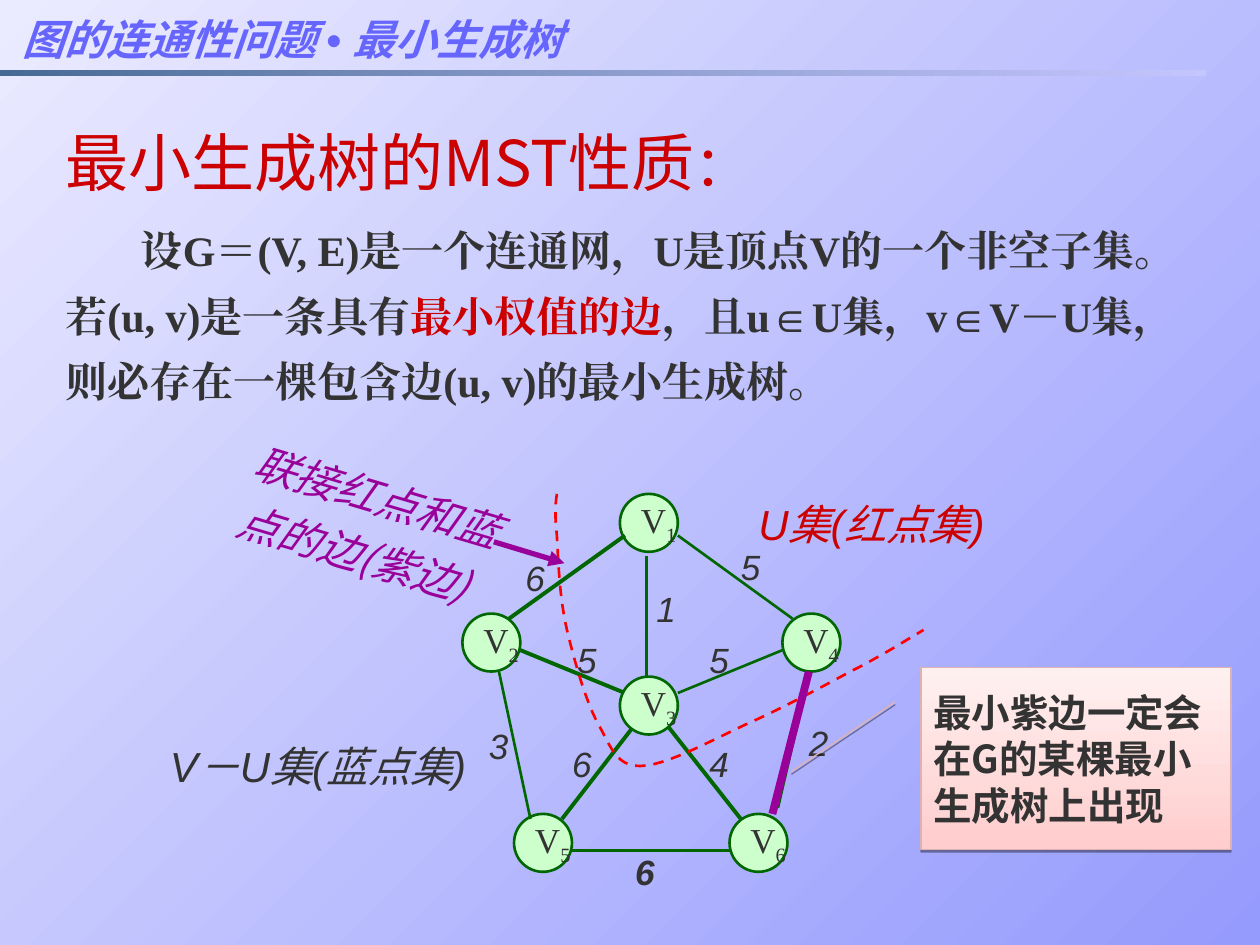
"""Build the slide on the MST property of minimum spanning trees."""
import dataclasses

import lxml.etree
import pptx
import pptx.dml.color
import pptx.enum.dml
import pptx.enum.shapes
import pptx.enum.text
import pptx.oxml.ns
import pptx.util

Inches = pptx.util.Inches
Pt = pptx.util.Pt
MSO_SHAPE = pptx.enum.shapes.MSO_SHAPE
qn = pptx.oxml.ns.qn


@dataclasses.dataclass(frozen=True)
class Theme:
    """Colours, fonts and type sizes of the slide."""
    ink: str = "333333"
    red: str = "CC0000"
    purple: str = "990099"
    heading: str = "6666FF"
    edge: str = "006600"
    node: str = "CCFFCC"
    cut: str = "FF0000"
    callout_line: str = "DDB2B2"
    background: tuple = ("EBEBFF", "959AFD")
    rule: tuple = ("003366", "CCCCFF")
    callout: tuple = ("FFCDCD", "FFF0F0")
    serif: str = "Times New Roman"
    sans: str = "Arial"
    cjk: str = "Noto Sans CJK JP"
    cjk_bold: str = "Noto Sans CJK SC"
    title_size: int = 36
    colon_size: int = 32
    text_size: int = 24
    callout_size: int = 22
    graph_size: int = 20


THEME = Theme()

NODE_SIZE = 0.46
NODES = {1: (4.92, 3.92), 2: (3.67, 4.87), 4: (6.21, 4.87),
         5: (4.08, 6.46), 6: (5.79, 6.46), 3: (4.92, 5.37)}
THIN, THICK = 1.5, 2.25
EDGES = [
    ((5.13, 4.41), (5.13, 5.41), THIN),
    ((3.96, 5.33), (4.21, 6.5), THIN),
    ((4.54, 6.75), (5.79, 6.75), THIN),
    ((6.42, 5.33), (6.17, 6.41), THICK),
    ((5.04, 5.75), (4.46, 6.5), THICK),
    ((5.29, 5.75), (5.88, 6.5), THICK),
    ((4.13, 5.16), (4.96, 5.5), THICK),
    ((6.21, 5.16), (5.38, 5.5), THIN),
    ((4.96, 4.25), (4.04, 4.91), THICK),
    ((5.38, 4.25), (6.29, 4.91), THIN),
]
WEIGHTS = [
    ("5", 5.88, 4.26), ("6", 4.17, 4.35), ("1", 5.21, 4.6), ("3", 3.88, 5.68),
    ("2", 6.42, 5.66), ("6", 5.04, 6.68), ("6", 4.54, 5.83), ("5", 4.58, 5),
    ("5", 5.63, 5), ("4", 5.63, 5.83),
]
BOTTOM_WEIGHT = 5
CUT_START = (4.42, 3.92)
CUT_CURVES = [
    ((4.41, 3.99), (4.4, 4.07), (4.42, 4.25)),
    ((4.43, 4.43), (4.44, 4.75), (4.5, 5)),
    ((4.56, 5.25), (4.65, 5.57), (4.75, 5.75)),
    ((4.85, 5.93), (4.89, 6.08), (5.08, 6.08)),
    ((5.28, 6.08), (5.64, 5.88), (5.92, 5.75)),
    ((6.19, 5.63), (6.51, 5.46), (6.75, 5.33)),
    ((6.99, 5.21), (7.16, 5.1), (7.33, 5)),
]


def rgb(value):
    """Return a colour from its hex string."""
    return pptx.dml.color.RGBColor.from_string(value)


def write(paragraph, *runs, size, color=THEME.ink, font=THEME.sans, bold=False,
          italic=False, baseline=0, spacing=1.0, before=0, left=0, first=0):
    """Write runs, each a string or a (string, overrides) pair, in one format."""
    paragraph.alignment = pptx.enum.text.PP_ALIGN.LEFT
    paragraph.line_spacing = spacing
    paragraph.space_before = Pt(before)
    properties = paragraph._p.get_or_add_pPr()
    properties.set("marL", str(Inches(left)))
    properties.set("indent", str(Inches(first)))
    base = dict(size=size, color=color, font=font, bold=bold, italic=italic,
                baseline=baseline)
    for part in runs:
        words, changes = (part, {}) if isinstance(part, str) else part
        look = {**base, **changes}
        run = paragraph.add_run()
        run.text = words
        run.font.size = Pt(look["size"])
        run.font.bold, run.font.italic = look["bold"], look["italic"]
        run.font.color.rgb = rgb(look["color"])
        run.font.name = look["font"]
        settings = run._r.get_or_add_rPr()
        lxml.etree.SubElement(settings, qn("a:ea")).set("typeface", look["font"])
        if look["baseline"]:
            settings.set("baseline", str(look["baseline"] * 1000))


def add_text(slide, at, inset=(0.1, 0.05)):
    """Add a wrapping text box and return its frame and shape."""
    box = slide.shapes.add_textbox(*map(Inches, at))
    frame = box.text_frame
    frame.word_wrap = True
    frame.margin_left = frame.margin_right = Inches(inset[0])
    frame.margin_top = frame.margin_bottom = Inches(inset[1])
    return frame, box


def add_label(slide, words, at, inset=(0.1, 0.05), hang=0.19, rotation=0, **look):
    """Add an italic label of the graph with a hanging indent."""
    frame, box = add_text(slide, at, inset)
    box.rotation = rotation
    write(frame.paragraphs[0], words, italic=True, spacing=1.2,
          left=hang, first=-hang, **look)


def add_line(slide, start, end, color, width, arrow=False):
    """Add a straight line, with an arrowhead at its end if wanted."""
    line = slide.shapes.add_connector(
        pptx.enum.shapes.MSO_CONNECTOR.STRAIGHT, *map(Inches, start + end))
    line.line.color.rgb = rgb(color)
    line.line.width = Pt(width)
    if arrow:
        outline = line.line._get_or_add_ln()
        lxml.etree.SubElement(outline, qn("a:tailEnd")).set("type", "triangle")
    lxml.etree.SubElement(line._element.spPr, qn("a:effectLst"))


def paint_gradient(fill, colors, clockwise):
    """Fill with a two-colour linear gradient."""
    fill.gradient()
    fill.gradient_angle = -clockwise % 360
    for stop, color, position in zip(fill.gradient_stops, colors, (0, 1)):
        stop.color.rgb = rgb(color)
        stop.position = position


def add_node(slide, number):
    """Add a vertex circle with its subscripted name."""
    node = slide.shapes.add_shape(
        MSO_SHAPE.OVAL, *map(Inches, NODES[number] + (NODE_SIZE, NODE_SIZE)))
    node.shadow.inherit = False
    node.fill.solid()
    node.fill.fore_color.rgb = rgb(THEME.node)
    node.line.color.rgb = rgb(THEME.edge)
    node.line.width = Pt(THIN)
    frame = node.text_frame
    frame.word_wrap = False
    frame.vertical_anchor = pptx.enum.text.MSO_ANCHOR.MIDDLE
    write(frame.paragraphs[0], "V", (str(number), {"baseline": -25}),
          size=THEME.graph_size, font=THEME.serif)


def add_cut(slide, steps=12):
    """Add the dashed curve that separates U from V－U."""
    points, start = [], CUT_START
    for first, second, end in CUT_CURVES:
        for step in range(1, steps + 1):
            t = step / steps
            points.append(tuple(
                Inches((1 - t) ** 3 * a + 3 * t * (1 - t) ** 2 * b
                       + 3 * t ** 2 * (1 - t) * c + t ** 3 * d)
                for a, b, c, d in zip(start, first, second, end)))
        start = end
    builder = slide.shapes.build_freeform(*map(Inches, CUT_START))
    builder.add_line_segments(points, close=False)
    cut = builder.convert_to_shape()
    cut.shadow.inherit = False
    cut.fill.background()
    cut.line.color.rgb = rgb(THEME.cut)
    cut.line.width = Pt(THIN)
    cut.line.dash_style = pptx.enum.dml.MSO_LINE.DASH


def add_statement(slide):
    """Add the title and the statement of the property."""
    frame, _ = add_text(slide, (0.42, 0.75, 9.25, 2.75))
    write(frame.paragraphs[0], "最小生成树的MST性质", ("：", {"size": THEME.colon_size}),
          size=THEME.title_size, color=THEME.red, font=THEME.cjk, spacing=1.3)
    write(frame.add_paragraph(),
          "设G＝(V, E)是一个连通网，U是顶点V的一个非空子集。若(u, v)是一条具有",
          ("最小权值的边", {"color": THEME.red}),
          "，且u∈U集，v∈V－U集，则必存在一棵包含边(u, v)的最小生成树。",
          size=THEME.text_size, font=THEME.serif, bold=True, spacing=1.3,
          before=6, first=0.6)


def add_header(slide):
    """Add the chapter heading and the fading rule below it."""
    rule = slide.shapes.add_shape(
        MSO_SHAPE.RECTANGLE, *map(Inches, (0, 0.56, 9.57, 0.04)))
    rule.shadow.inherit = False
    rule.line.fill.background()
    paint_gradient(rule.fill, THEME.rule, 0)
    for color, opacity in zip(rule._element.spPr.iter(qn("a:srgbClr")), (70, 60)):
        lxml.etree.SubElement(color, qn("a:alpha")).set("val", str(opacity * 1000))
    frame, _ = add_text(slide, (0.08, 0.06, 9.92, 0.5))
    write(frame.paragraphs[0], "图的连通性问题 ", ("• ", {"font": THEME.sans}),
          "最小生成树", size=THEME.text_size, color=THEME.heading,
          font=THEME.cjk_bold, bold=True, italic=True)


def add_callout(slide):
    """Add the callout that points at the lightest purple edge."""
    callout = slide.shapes.add_shape(
        MSO_SHAPE.LINE_CALLOUT_1, *map(Inches, (7.31, 5.3, 2.46, 1.44)))
    for index, value in enumerate((0.188, -0.083, 0.572, -0.418)):
        callout.adjustments[index] = value
    paint_gradient(callout.fill, THEME.callout, 270)
    callout.line.color.rgb = rgb(THEME.callout_line)
    callout.line.width = Pt(0.75)
    callout.shadow.inherit = False
    effects = callout._element.spPr.find(qn("a:effectLst"))
    shadow = lxml.etree.SubElement(effects, qn("a:outerShdw"), blurRad="0",
                                   dist=str(Pt(1.6)), dir="5400000", rotWithShape="0")
    black = lxml.etree.SubElement(shadow, qn("a:srgbClr"), val="000000")
    lxml.etree.SubElement(black, qn("a:alpha"), val="38000")
    frame = callout.text_frame
    frame.word_wrap = True
    frame.vertical_anchor = pptx.enum.text.MSO_ANCHOR.MIDDLE
    write(frame.paragraphs[0], "最小紫边一定会在G的某棵最小生成树上出现",
          size=THEME.callout_size, font=THEME.cjk_bold, bold=True)


def add_graph(slide):
    """Add the weighted graph, its cut and the names of both vertex sets."""
    *outer, center = NODES
    for number in outer:
        add_node(slide, number)
    for start, end, width in EDGES:
        add_line(slide, start, end, THEME.edge, width)
    add_node(slide, center)
    for index, (weight, left, top) in enumerate(WEIGHTS):
        add_label(slide, weight, (left, top, 0.25, 0.4), inset=(0, 0),
                  size=THEME.graph_size, bold=index == BOTTOM_WEIGHT)
    add_cut(slide)
    add_label(slide, "U集(红点集)", (5.92, 3.83, 2, 1.06),
              size=THEME.text_size, color=THEME.red)
    add_label(slide, "V－U集(蓝点集)", (1.25, 5.75, 2.67, 1.06), size=THEME.text_size)
    add_line(slide, (3.92, 4.3), (4.48, 4.47), THEME.purple, 3, arrow=True)
    add_label(slide, "联接红点和蓝点的边(紫边)", (1.77, 3.6, 2.25, 1.54), hang=0,
              rotation=16.5, size=THEME.text_size, color=THEME.purple, font=THEME.cjk)
    add_line(slide, (6.42, 5.33), (6.13, 6.46), THEME.purple, 4.5)


def main():
    """Build and save the slide."""
    deck = pptx.Presentation()
    deck.slide_width, deck.slide_height = Inches(10), Inches(7.5)
    slide = deck.slides.add_slide(deck.slide_layouts[6])
    paint_gradient(slide.background.fill, THEME.background, 45)
    add_statement(slide)
    add_graph(slide)
    add_header(slide)
    add_callout(slide)
    deck.save("out.pptx")


if __name__ == "__main__":
    main()
